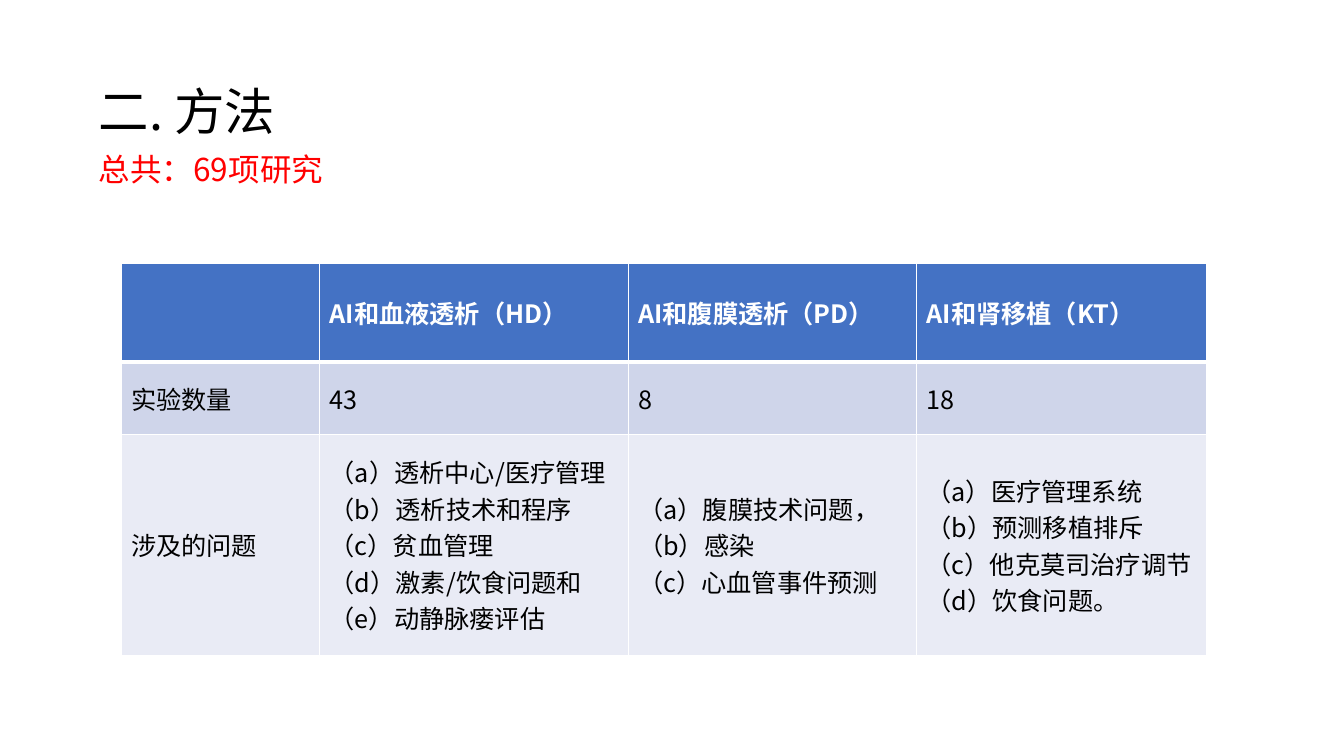
import pptx
import pptx.dml.color
import pptx.enum.text
import pptx.oxml
import pptx.oxml.ns
import pptx.util

Inches, Pt = pptx.util.Inches, pptx.util.Pt
qn = pptx.oxml.ns.qn

FONT = "Noto Sans CJK SC"
TITLE = "二. 方法"
TOTAL = "总共：69项研究"
ROWS = [
    ["", "AI和血液透析（HD）", "AI和腹膜透析（PD）", "AI和肾移植（KT）"],
    ["实验数量", "43", "8", "18"],
    ["涉及的问题",
     "（a）透析中心/医疗管理（b）透析技术和程序\n（c）贫血管理\n（d）激素/饮食问题和（e）动静脉瘘评估",
     "（a）腹膜技术问题，（b）感染\n（c）心血管事件预测",
     "（a）医疗管理系统\n（b）预测移植排斥\n（c）他克莫司治疗调节\n（d）饮食问题。"],
]
ROW_FILLS = ["4472C4", "CFD5EA", "E9EBF5"]
COL_WIDTHS = [1.97, 3.06, 2.86, 2.88]
ROW_HEIGHTS = [0.98, 0.72, 2.19]


def rgb(value):
    return pptx.dml.color.RGBColor.from_string(value)


def style(p, size, color, bold=False):
    p.font.size = Pt(size)
    p.font.bold = bold
    p.font.color.rgb = rgb(color)
    p.font.name = FONT
    ea = pptx.oxml.parse_xml(f'<a:ea {pptx.oxml.ns.nsdecls("a")} typeface="{FONT}"/>')
    p._p.find(".//" + qn("a:defRPr")).append(ea)


def border(cell, side, width, color="FFFFFF"):
    cell._tc.get_or_add_tcPr().append(pptx.oxml.parse_xml(
        f'<a:ln{side} {pptx.oxml.ns.nsdecls("a")} w="{Pt(width)}">'
        f'<a:solidFill><a:srgbClr val="{color}"/></a:solidFill></a:ln{side}>'))


prs = pptx.Presentation()
prs.slide_width, prs.slide_height = Inches(13.33), Inches(7.5)
s = prs.slides.add_slide(prs.slide_layouts[6])

heading = s.shapes.add_textbox(Inches(0.88), Inches(0.69), Inches(12.02), Inches(1.84))
tf = heading.text_frame
tf.word_wrap = True
tf.margin_top = Inches(0.1)
tf.text = f"{TITLE}\n{TOTAL}"
title, total = tf.paragraphs
style(title, 36, "000000")
style(total, 22.5, "FF0000")
total.space_before = Pt(7)

table = s.shapes.add_table(
    len(ROWS), len(COL_WIDTHS), Inches(1.2), Inches(2.61),
    Inches(sum(COL_WIDTHS)), Inches(sum(ROW_HEIGHTS))).table
for column, width in zip(table.columns, COL_WIDTHS):
    column.width = Inches(width)
for i, (texts, fill, height) in enumerate(zip(ROWS, ROW_FILLS, ROW_HEIGHTS)):
    header = i == 0
    table.rows[i].height = Inches(height)
    for j, text in enumerate(texts):
        cell = table.cell(i, j)
        cell.text = text
        cell.vertical_anchor = pptx.enum.text.MSO_ANCHOR.MIDDLE
        for side in "LRTB":
            thick = (i, side) in [(0, "B"), (1, "T")]
            border(cell, side, 3 if thick else 1)
        cell.fill.solid()
        cell.fill.fore_color.rgb = rgb(fill)
        for p in cell.text_frame.paragraphs:
            style(p, 18, "FFFFFF" if header else "000000", header)

prs.save("out.pptx")
